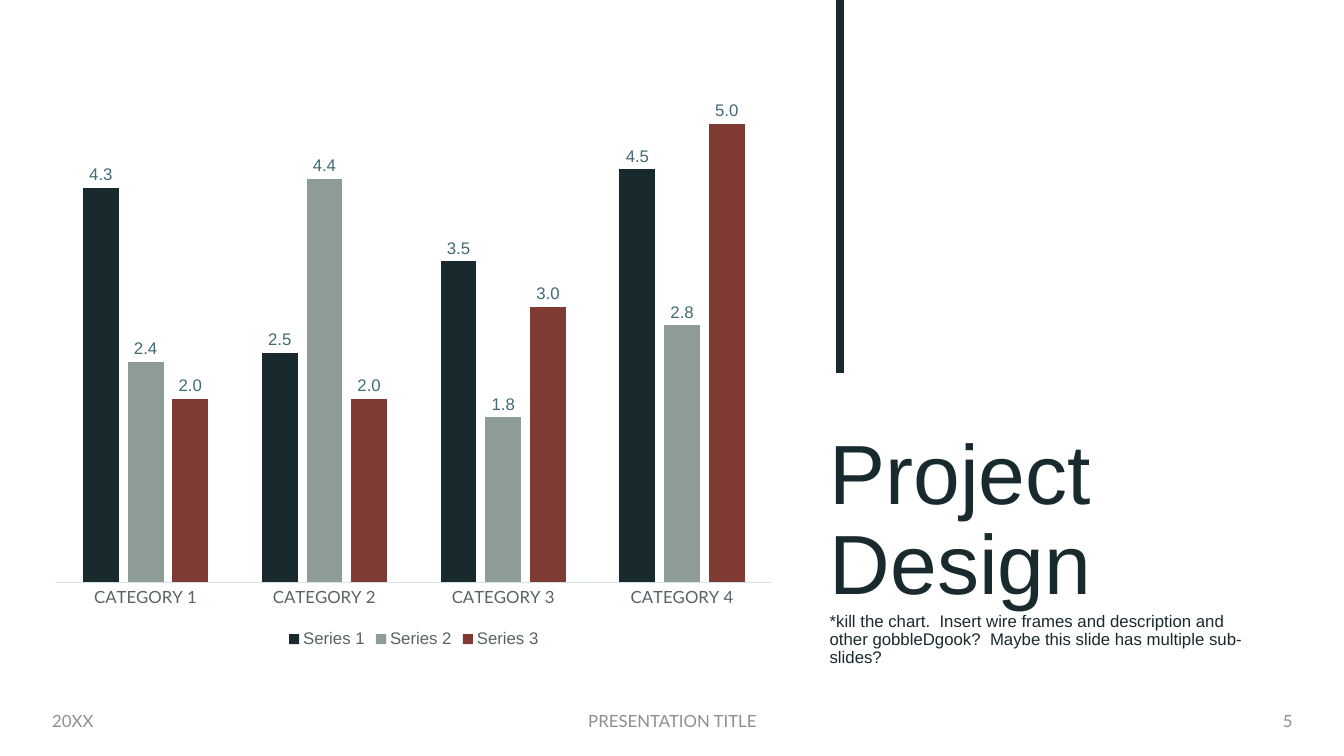
import pptx
import pptx.chart.data
import pptx.dml.color
import pptx.enum.chart
import pptx.enum.shapes
import pptx.enum.text
import pptx.oxml
import pptx.util
from pptx.util import Inches

DARK = "192A2E"
FOOTER_GREY = "8C8E8F"
AXIS_GREY = "576466"
CATEGORIES = ["CATEGORY 1", "CATEGORY 2", "CATEGORY 3", "CATEGORY 4"]
SERIES = [
    ("Series 1", [4.3, 2.5, 3.5, 4.5], DARK),
    ("Series 2", [2.4, 4.4, 1.8, 2.8], "8D9C95"),
    ("Series 3", [2, 2, 3, 5], "7F3A33"),
]
NOTE = (
    "*kill the chart.  Insert wire frames and description and other "
    "gobbleDgook?  Maybe this slide has multiple sub-slides?"
)
ALIGN = pptx.enum.text.PP_ALIGN
ANCHOR = pptx.enum.text.MSO_ANCHOR
FOOTERS = [
    ("20XX", 0.42, 3, ALIGN.LEFT),
    ("PRESENTATION TITLE", 4.42, 4.5, ALIGN.CENTER),
    ("5", 11.72, 1.2, ALIGN.RIGHT),
]


def rgb(color):
    return pptx.dml.color.RGBColor.from_string(color)


def set_attributes(target, values):
    for name, value in values.items():
        setattr(target, name, value)


def set_font(font, name, size, color):
    set_attributes(font, {"name": name, "size": pptx.util.Pt(size), "bold": False})
    font.color.rgb = rgb(color)


def add_text(s, box, lines, font, align, anchor, spacing):
    tf = s.shapes.add_textbox(*map(Inches, box)).text_frame
    set_attributes(tf, {"word_wrap": True, "vertical_anchor": anchor})
    p = tf.paragraphs[0]
    set_attributes(p, {"alignment": align, "line_spacing": spacing})
    for i, (text, size, color) in enumerate(lines):
        if i:
            p.add_line_break()
        r = p.add_run()
        r.text = text
        set_font(r.font, font, size, color)


def add_rule(s, x, top, bottom, width, color):
    rule = s.shapes.add_connector(
        pptx.enum.shapes.MSO_CONNECTOR.STRAIGHT,
        Inches(x), Inches(top), Inches(x), Inches(bottom),
    )
    rule.line.width = pptx.util.Pt(width)
    rule.line.color.rgb = rgb(color)
    sp_pr = rule._element.spPr
    sp_pr.append(pptx.oxml.parse_xml(
        '<a:effectLst xmlns:a="http://schemas.openxmlformats.org/drawingml/2006/main"/>'
    ))


def style_series(series, color):
    series.format.fill.solid()
    series.format.fill.fore_color.rgb = rgb(color)
    series.invert_if_negative = False
    labels = series.data_labels
    set_attributes(labels, {
        "show_value": True,
        "number_format": "#,##0.0",
        "number_format_is_linked": False,
        "position": pptx.enum.chart.XL_LABEL_POSITION.OUTSIDE_END,
    })
    set_font(labels.font, "Arial", 12, "406B75")


def style_axes(chart):
    axis = chart.category_axis
    set_attributes(axis, {
        "major_tick_mark": pptx.enum.chart.XL_TICK_MARK.NONE,
        "has_major_gridlines": False,
    })
    set_font(axis.tick_labels.font, "Lato", 12, AXIS_GREY)
    axis.format.line.width = pptx.util.Pt(0.75)
    axis.format.line.color.rgb = rgb("D4E4E8")
    set_attributes(chart.value_axis, {
        "visible": False,
        "has_major_gridlines": False,
        "minimum_scale": 0,
        "maximum_scale": 6,
    })


def add_column_chart(s, box):
    data = pptx.chart.data.CategoryChartData()
    data.categories = CATEGORIES
    for name, values, _ in SERIES:
        data.add_series(name, values)
    chart = s.shapes.add_chart(
        pptx.enum.chart.XL_CHART_TYPE.COLUMN_CLUSTERED, *map(Inches, box), data
    ).chart
    set_font(chart.font, "Lato", 10, DARK)
    set_attributes(chart, {"has_title": False, "has_legend": True})
    set_attributes(chart.legend, {
        "position": pptx.enum.chart.XL_LEGEND_POSITION.BOTTOM,
        "include_in_layout": False,
    })
    set_font(chart.legend.font, "Arial", 12, AXIS_GREY)
    plot = chart.plots[0]
    set_attributes(plot, {"gap_width": 150, "overlap": -25, "vary_by_categories": False})
    for series, (_, _, color) in zip(plot.series, SERIES):
        style_series(series, color)
    style_axes(chart)


def main():
    prs = pptx.Presentation()
    set_attributes(prs, {"slide_width": Inches(13.33), "slide_height": Inches(7.5)})
    s = prs.slides.add_slide(prs.slide_layouts[6])
    add_rule(s, 8.33, 0, 3.7, 6, DARK)
    title = [("Project Design", 60, DARK), (NOTE, 12, DARK)]
    add_text(s, (8.13, 4.21, 4.52, 2.46), title, "Arial", ALIGN.LEFT, ANCHOR.BOTTOM, 0.9)
    add_column_chart(s, (0.41, 0.19, 7.39, 6.28))
    for text, left, width, align in FOOTERS:
        footer = [(text, 12, FOOTER_GREY)]
        add_text(s, (left, 6.95, width, 0.4), footer, "Lato", align, ANCHOR.MIDDLE, 1.0)
    prs.save("out.pptx")


if __name__ == "__main__":
    main()
